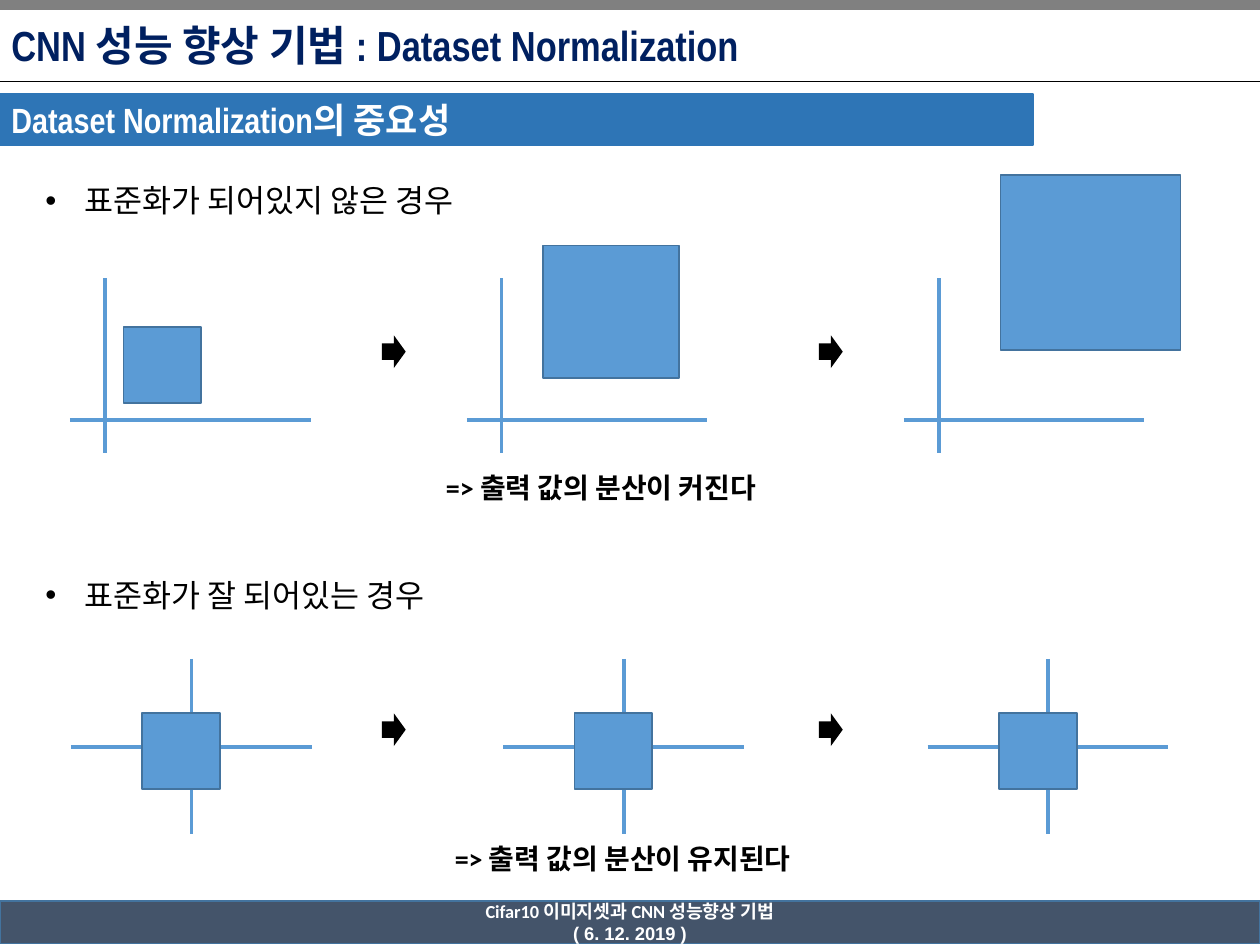
from dataclasses import dataclass

from lxml import etree
from pptx import Presentation
from pptx.dml.color import RGBColor
from pptx.enum import shapes, text
from pptx.oxml import ns
from pptx.util import Cm, Pt


@dataclass(frozen=True)
class Theme:
    gray: str = "808080"
    black: str = "000000"
    white: str = "FFFFFF"
    navy: str = "002060"
    slate: str = "44546A"
    band: str = "2E75B6"
    blue: str = "5B9BD5"
    edge: str = "43739E"
    head: float = 24
    sub: float = 20
    item: float = 18
    note: float = 16
    foot: float = 10.5
    sans: str = "Calibri"
    slim: str = "Arial Narrow"
    plain: str = "Arial"


@dataclass(frozen=True)
class Box:
    left: float
    top: float
    width: float
    height: float

    def size(self) -> tuple:
        return Cm(self.left), Cm(self.top), Cm(self.width), Cm(self.height)


@dataclass(frozen=True)
class Plot:
    axis: float
    square: Box


@dataclass(frozen=True)
class Row:
    item: str
    label: Box
    note: str
    caption: Box
    top: float
    base: float
    reach: float
    arrow: float
    plots: tuple


T = Theme()
RECT = shapes.MSO_SHAPE.RECTANGLE
ARROW = shapes.MSO_SHAPE.RIGHT_ARROW
TALL, WIDE = 3.53, 4.85
ARROWS = (7.7, 16.51)

ROWS = (
    Row("표준화가 되어있지 않은 경우", Box(0.66, 3.53, 9.45, 1.02),
        "=> 출력 값의 분산이 커진다", Box(8.74, 9.37, 7.29, 0.94),
        5.61, 8.46, 0.7, 6.76,
        (Plot(2.11, Box(2.49, 6.6, 1.57, 1.52)),
         Plot(10.11, Box(10.95, 4.95, 2.74, 2.67)),
         Plot(18.92, Box(20.17, 3.53, 3.63, 3.53)))),
    Row("표준화가 잘 되어있는 경우", Box(0.66, 11.48, 8.81, 1.02),
        "=> 출력 값의 분산이 유지된다", Box(8.92, 16.84, 7.87, 0.94),
        13.28, 15.06, 2.43, 14.38,
        tuple(Plot(x, Box(x - 0.99, 14.38, 1.57, 1.52))
              for x in (3.86, 12.57, 21.13))),
)


def tint(code: str) -> RGBColor:
    return RGBColor.from_string(code)


def block(slide, box: Box, fill: str, edge: str = "", kind=RECT):
    shape = slide.shapes.add_shape(kind, *box.size())
    shape.shadow.inherit = False
    shape.fill.solid()
    shape.fill.fore_color.rgb = tint(fill)
    if edge:
        shape.line.color.rgb = tint(edge)
        shape.line.width = Pt(1)
    else:
        shape.line.fill.background()
    return shape


def rule(slide, x: float, y: float, dx: float, dy: float,
         color: str = T.blue, width: float = 2.25) -> None:
    line = slide.shapes.add_connector(
        shapes.MSO_CONNECTOR.STRAIGHT, Cm(x), Cm(y), Cm(x + dx), Cm(y + dy))
    line.line.color.rgb = tint(color)
    line.line.width = Pt(width)
    etree.SubElement(line._element.spPr, ns.qn("a:effectLst"))


def place(shape, box: Box) -> None:
    shape.left, shape.top, shape.width, shape.height = box.size()


def style(para, size: float, face: str, color: str, bold: bool = True,
          align=text.PP_ALIGN.LEFT) -> None:
    para.alignment = align
    font = para.font
    font.size, font.name, font.bold = Pt(size), face, bold
    font.color.rgb = tint(color)


def write(shape, words: str, size: float, face: str, color: str) -> None:
    frame = shape.text_frame
    frame.text = words
    frame.word_wrap = True
    frame.auto_size = text.MSO_AUTO_SIZE.NONE
    frame.vertical_anchor = text.MSO_ANCHOR.MIDDLE
    frame.margin_left = frame.margin_right = Cm(0.23)
    frame.margin_top = frame.margin_bottom = Cm(0.1)
    style(frame.paragraphs[0], size, face, color)


def free(shape, words: str):
    frame = shape.text_frame
    frame.text = words
    frame.word_wrap = False
    frame.auto_size = text.MSO_AUTO_SIZE.SHAPE_TO_FIT_TEXT
    frame.vertical_anchor = text.MSO_ANCHOR.TOP
    return frame.paragraphs[0]


def bullet(holder, row: Row) -> None:
    place(holder, row.label)
    para = free(holder, row.item)
    props = para._p.get_or_add_pPr()
    props.set("marL", str(Cm(0.79)))
    props.set("indent", str(-Cm(0.79)))
    face = etree.SubElement(props, ns.qn("a:buFont"))
    face.set("typeface", T.plain)
    etree.SubElement(props, ns.qn("a:buChar")).set("char", "•")
    para.space_before = Pt(0)
    style(para, T.item, T.sans, T.black, False)


def draw(slide, row: Row, holder) -> None:
    bullet(holder, row)
    for plot in row.plots:
        rule(slide, plot.axis, row.top, 0, TALL)
        rule(slide, plot.axis - row.reach, row.base, WIDE, 0)
        block(slide, plot.square, T.blue, T.edge)
    for x in ARROWS:
        block(slide, Box(x, row.arrow, 0.48, 0.66), T.black, kind=ARROW)
    note = slide.shapes.add_textbox(*row.caption.size())
    style(free(note, row.note), T.note, T.sans, T.black)


def footer(slide) -> None:
    bar = block(slide, Box(0, 18.16, 25.4, 0.86), T.slate, T.edge)
    frame = bar.text_frame
    frame.text = "Cifar10 이미지셋과 CNN 성능향상 기법\n( 6. 12. 2019 )"
    frame.vertical_anchor = text.MSO_ANCHOR.MIDDLE
    for para, face in zip(frame.paragraphs, (T.sans, T.plain)):
        style(para, T.foot, face, T.white, align=text.PP_ALIGN.CENTER)


def main() -> None:
    deck = Presentation()
    deck.slide_width, deck.slide_height = Cm(25.4), Cm(19.05)
    slide = deck.slides.add_slide(deck.slide_layouts.get_by_name("Two Content"))
    title, *lists = slide.placeholders
    block(slide, Box(0, 0, 25.4, 0.18), T.gray, T.gray)
    rule(slide, 0, 1.65, 25.4, 0, T.black, 0.5)
    footer(slide)
    place(title, Box(0, 0.08, 19.84, 1.65))
    write(title, "CNN 성능 향상 기법 : Dataset Normalization",
          T.head, T.slim, T.navy)
    band = block(slide, Box(0, 1.9, 20.83, 1.02), T.band, T.band)
    write(band, "Dataset Normalization의 중요성", T.sub, T.slim, T.white)
    for row, holder in zip(ROWS, lists):
        draw(slide, row, holder)
    deck.save("out.pptx")


if __name__ == "__main__":
    main()
